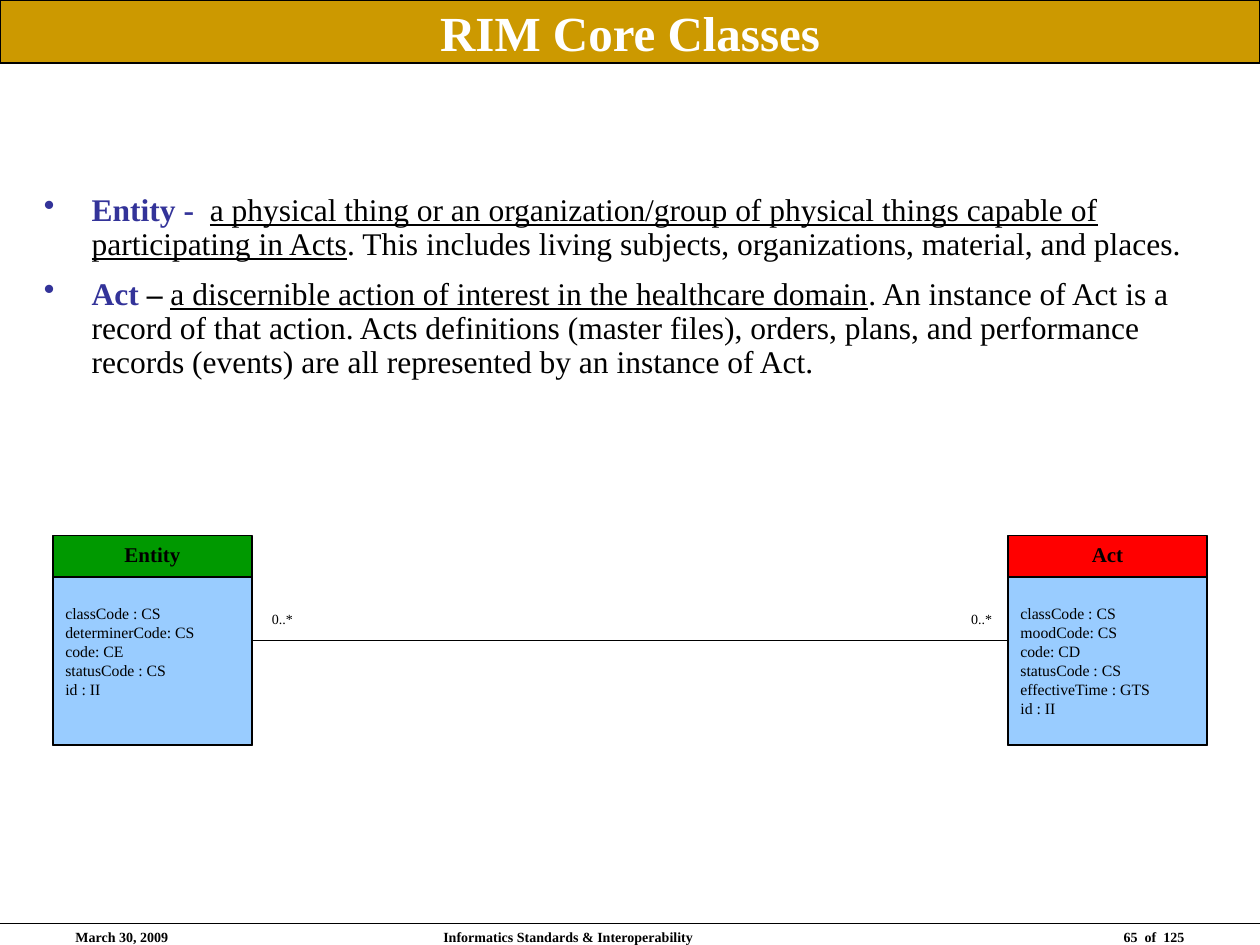
from dataclasses import dataclass

from lxml import etree
from pptx import Presentation
from pptx.dml.color import RGBColor
from pptx.enum import shapes, text
from pptx.oxml import ns
from pptx.util import Inches, Pt

FONT = "Times New Roman"
COLORS = {
    "black": "000000",
    "white": "FFFFFF",
    "gold": "CC9900",
    "indigo": "333399",
    "green": "009900",
    "red": "FF0000",
    "sky": "99CCFF",
}
ALIGN = text.PP_ALIGN
ANCHOR = text.MSO_ANCHOR


@dataclass(frozen=True)
class Span:
    words: str
    color: str = "black"
    bold: bool = False
    underline: bool = False


@dataclass(frozen=True)
class ClassBox:
    name: str
    left: float
    color: str
    attributes: tuple[str, ...]
    bottom_inset: float = 0.05


@dataclass(frozen=True)
class Label:
    words: str
    left: float
    top: float
    width: float
    height: float
    align: ALIGN = ALIGN.LEFT
    bold: bool = False
    wrap: bool = True


CLASS_BOXES = (
    ClassBox("Entity", 0.42, "green",
             ("classCode : CS", "determinerCode: CS", "code: CE",
              "statusCode : CS", "id : II"), bottom_inset=0.2),
    ClassBox("Act", 8, "red",
             ("classCode : CS", "moodCode: CS", "code: CD",
              "statusCode : CS", "effectiveTime : GTS", "id : II")),
)
LABELS = (
    Label("March 30, 2009", 0.5, 7.32, 2.33, 0.17, bold=True),
    Label("Informatics Standards & Interoperability", 3.42, 7.32, 3.17, 0.17, bold=True),
    Label("65  of  125", 7.17, 7.32, 2.33, 0.17, align=ALIGN.RIGHT, bold=True),
    Label("0..*", 2.06, 4.8, 0.37, 0.23, wrap=False),
    Label("0..*", 7.61, 4.8, 0.37, 0.23, wrap=False),
)
DEFINITIONS = (
    (
        Span("Entity -  ", "indigo", bold=True),
        Span("a physical thing or an organization/group of physical things "
             "capable of participating in Acts", underline=True),
        Span(". This includes living subjects, organizations, material, and places."),
    ),
    (
        Span("Act ", "indigo", bold=True),
        Span("– ", bold=True),
        Span("a discernible action of interest in the healthcare domain", underline=True),
        Span(". An instance of Act is a record of that action. Acts definitions "
             "(master files), orders, plans, and performance records (events) are "
             "all represented by an instance of Act."),
    ),
)


def rgb(color: str) -> RGBColor:
    return RGBColor.from_string(COLORS[color])


def style_font(font, *, size: float, color: str = "black", bold: bool = False,
               underline: bool = False) -> None:
    font.name = FONT
    font.size = Pt(size)
    font.bold = bold
    font.underline = underline
    font.color.rgb = rgb(color)


def write_text(box, words: str, *, size: float, color: str = "black", bold: bool = False,
               align=ALIGN.LEFT, anchor=ANCHOR.TOP, wrap: bool = True) -> None:
    frame = box.text_frame
    frame.word_wrap = wrap
    frame.vertical_anchor = anchor
    frame.text = words
    for para in frame.paragraphs:
        para.alignment = align
        for span in para.runs:
            style_font(span.font, size=size, color=color, bold=bold)


def add_rectangle(page, left: float, top: float, width: float, height: float, fill: str):
    box = page.shapes.add_shape(shapes.MSO_SHAPE.RECTANGLE, Inches(left), Inches(top),
                                Inches(width), Inches(height))
    box.shadow.inherit = False
    box.fill.solid()
    box.fill.fore_color.rgb = rgb(fill)
    box.line.color.rgb = rgb("black")
    box.line.width = Pt(0.75)
    return box


def add_line(page, left: float, right: float, height: float):
    line = page.shapes.add_connector(shapes.MSO_CONNECTOR.STRAIGHT, Inches(left),
                                     Inches(height), Inches(right), Inches(height))
    line.line.color.rgb = rgb("black")
    line.line.width = Pt(0.75)
    etree.SubElement(line._element.spPr, ns.qn("a:effectLst"))
    return line


def add_label(page, label: Label) -> None:
    box = page.shapes.add_textbox(Inches(label.left), Inches(label.top),
                                  Inches(label.width), Inches(label.height))
    write_text(box, label.words, size=8, bold=label.bold, align=label.align, wrap=label.wrap)


def add_class_box(page, item: ClassBox):
    outline = add_rectangle(page, item.left, 4.25, 1.58, 1.67, item.color)
    write_text(outline, item.name, size=12, bold=True, align=ALIGN.CENTER, wrap=False)
    details = add_rectangle(page, item.left, 4.58, 1.58, 1.33, "sky")
    write_text(details, "\n".join(item.attributes), size=9, anchor=ANCHOR.MIDDLE, wrap=False)
    details.text_frame.margin_bottom = Inches(item.bottom_inset)
    return outline


def add_bullet(para, color: str) -> None:
    props = para._p.get_or_add_pPr()
    props.set("marL", str(Inches(0.38)))
    props.set("indent", str(-Inches(0.38)))
    tint = etree.SubElement(props, ns.qn("a:buClr"))
    etree.SubElement(tint, ns.qn("a:srgbClr"), val=COLORS[color])
    etree.SubElement(props, ns.qn("a:buChar"), char="•")


def add_definitions(page) -> None:
    box = page.shapes.add_textbox(Inches(0.25), Inches(0.75), Inches(9.5), Inches(3.06))
    frame = box.text_frame
    frame.word_wrap = True
    frame.vertical_anchor = ANCHOR.MIDDLE
    for index, spans in enumerate(DEFINITIONS):
        para = frame.add_paragraph() if index else frame.paragraphs[0]
        add_bullet(para, "indigo")
        para.line_spacing = 0.9
        para.space_before = Pt(9 if index else 0)
        for item in spans:
            span = para.add_run()
            span.text = item.words
            style_font(span.font, size=18, color=item.color, bold=item.bold,
                       underline=item.underline)


def main() -> None:
    deck = Presentation()
    deck.slide_width, deck.slide_height = Inches(10), Inches(7.5)
    page = deck.slides.add_slide(deck.slide_layouts[6])

    title = add_rectangle(page, 0, 0, 10, 0.5, "gold")
    write_text(title, "RIM Core Classes", size=28, color="white", bold=True,
               align=ALIGN.CENTER, anchor=ANCHOR.MIDDLE)
    add_definitions(page)

    entity, act = [add_class_box(page, item) for item in CLASS_BOXES]
    association = add_line(page, 2, 8, 5.08)
    association.begin_connect(entity, 3)
    association.end_connect(act, 1)

    add_line(page, 0, 10, 7.33)
    for label in LABELS:
        add_label(page, label)
    deck.save("out.pptx")


if __name__ == "__main__":
    main()
